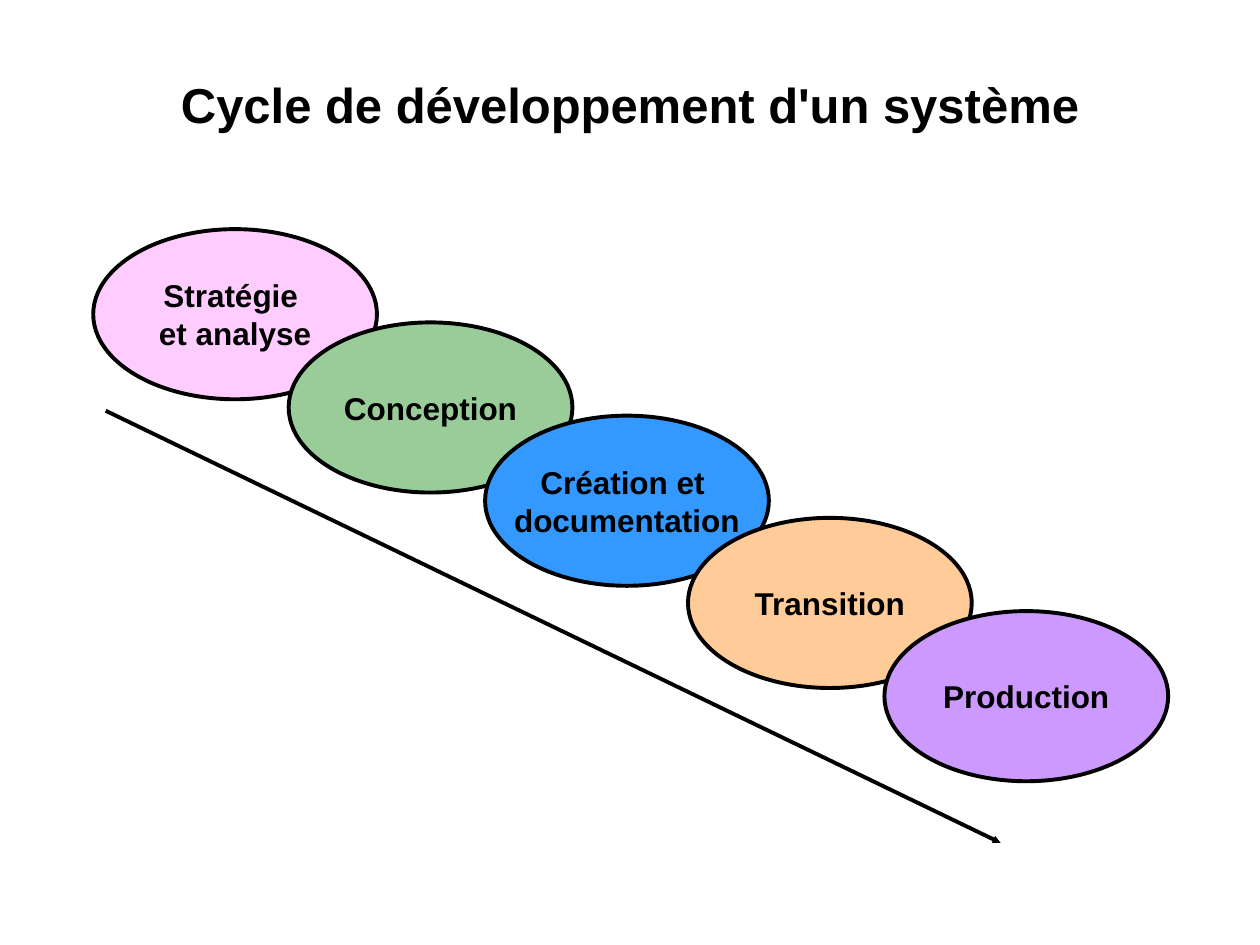
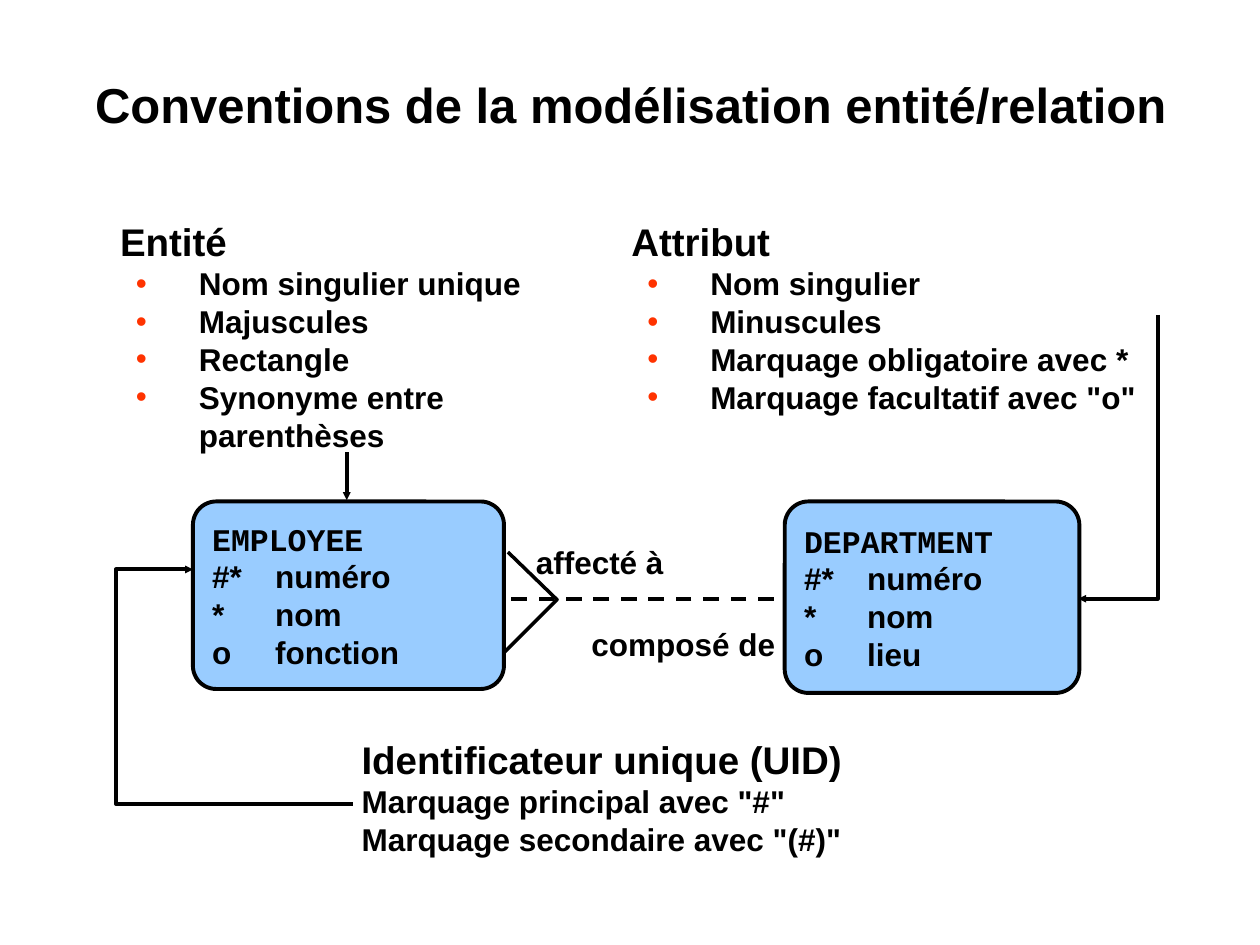
from dataclasses import dataclass

from lxml import etree
from pptx import Presentation
from pptx.dml.color import RGBColor
from pptx.enum.dml import MSO_LINE
from pptx.enum.shapes import MSO_CONNECTOR, MSO_SHAPE
from pptx.enum.text import MSO_ANCHOR, MSO_AUTO_SIZE, PP_ALIGN
from pptx.oxml.ns import qn
from pptx.util import Cm, Pt

LEFT, CENTER = PP_ALIGN.LEFT, PP_ALIGN.CENTER
TOP, MIDDLE = MSO_ANCHOR.TOP, MSO_ANCHOR.MIDDLE
NO_AUTOFIT = MSO_AUTO_SIZE.NONE
STRAIGHT = MSO_CONNECTOR.STRAIGHT
OVAL, ROUNDED = MSO_SHAPE.OVAL, MSO_SHAPE.ROUNDED_RECTANGLE
DASH = MSO_LINE.DASH

COLORS = {
    "ink": "000000",
    "bullet": "FF3300",
    "strategy": "FFCCFF",
    "design": "99CC99",
    "build": "3399FF",
    "transition": "FFCC99",
    "production": "CC99FF",
    "entity": "99CCFF",
}
SANS, MONO = "Arial", "Courier New"
TITLE_SIZE, HEADING_SIZE, TEXT_SIZE = 28, 22, 18
LINE_WIDTH = 2.25
TIGHT, ROOMY = (0.03, 0.03), (0.25, 0.13)

PHASES = [
    ("Stratégie \vet analyse", "strategy", 0, 0),
    ("Conception", "design", 3.94, 1.88),
    ("Création et \vdocumentation", "build", 7.9, 3.76),
    ("Transition", "transition", 11.99, 5.82),
    ("Production", "production", 15.95, 7.7),
]
ENTITY_RULES = ["Entité", "Nom singulier unique", "Majuscules", "Rectangle",
                "Synonyme entre parenthèses"]
ATTRIBUTE_RULES = ["Attribut", "Nom singulier", "Minuscules",
                   "Marquage obligatoire avec *", 'Marquage facultatif avec "o"']
IDENTIFIER_RULES = ["Identificateur unique (UID)", 'Marquage principal avec "#"',
                    'Marquage secondaire avec "(#)"']


@dataclass
class Box:
    left: float
    top: float
    width: float
    height: float

    def inner(self, left, top, width, height):
        return Box(self.left + left, self.top + top, width, height)

    def point(self, x, y):
        return Cm(self.left + x), Cm(self.top + y)

    def bounds(self):
        return [Cm(side) for side in (self.left, self.top, self.width, self.height)]


def color(name):
    return RGBColor.from_string(COLORS[name])


def set_bullet(para):
    properties = para._p.get_or_add_pPr()
    properties.set("marL", str(Cm(1.59)))
    properties.set("indent", str(-Cm(1.27)))
    bullet_color = etree.SubElement(properties, qn("a:buClr"))
    etree.SubElement(bullet_color, qn("a:srgbClr"), val=COLORS["bullet"])
    etree.SubElement(properties, qn("a:buFont"), typeface=SANS)
    etree.SubElement(properties, qn("a:buChar"), char="•")


def clear_bullet(para):
    properties = para._p.get_or_add_pPr()
    properties.set("marL", "0")
    properties.set("indent", "0")
    etree.SubElement(properties, qn("a:buNone"))


def write(shape, lines, size=TEXT_SIZE, first_size=None, first_font=SANS,
          align=LEFT, anchor=TOP, margins=ROOMY, wrap=True, bulleted=False):
    frame = shape.text_frame
    frame.word_wrap = wrap
    frame.auto_size = NO_AUTOFIT
    frame.vertical_anchor = anchor
    frame.margin_left = frame.margin_right = Cm(margins[0])
    frame.margin_top = frame.margin_bottom = Cm(margins[1])
    for index, line in enumerate(lines):
        para = frame.add_paragraph() if index else frame.paragraphs[0]
        para.text = line
        para.alignment = align
        para.space_before = Pt(0)
        if bulleted and index:
            para.level = 1
            set_bullet(para)
        else:
            clear_bullet(para)
        for span in para.runs:
            span.font.size = Pt(size if index else first_size or size)
            span.font.name = SANS if index else first_font
            span.font.bold = True
            span.font.color.rgb = color("ink")


def place(shape, box):
    shape.left, shape.top, shape.width, shape.height = box.bounds()


def add_title(page, box, text):
    place(page.shapes.title, box)
    write(page.shapes.title, [text], TITLE_SIZE, align=CENTER, margins=TIGHT)


def add_text(page, box, lines, **style):
    write(page.shapes.add_textbox(*box.bounds()), lines, **style)


def add_figure(page, kind, box, fill):
    shape = page.shapes.add_shape(kind, *box.bounds())
    shape.shadow.inherit = False
    shape.fill.solid()
    shape.fill.fore_color.rgb = color(fill)
    style_line(shape)
    return shape


def style_line(shape, width=LINE_WIDTH, arrow=False):
    shape.line.color.rgb = color("ink")
    shape.line.width = Pt(width)
    if arrow:
        etree.SubElement(shape.line._get_or_add_ln(), qn("a:tailEnd"),
                         type="triangle", w="sm", len="sm")


def add_straight(page, start, end, arrow=False, dashed=False):
    line = page.shapes.add_connector(STRAIGHT, *start, *end)
    if dashed:
        line.line.dash_style = DASH
    style_line(line, arrow=arrow)
    etree.SubElement(line._element.spPr, qn("a:effectLst"))


def add_bent(page, points, width=LINE_WIDTH, arrow=False):
    builder = page.shapes.build_freeform(*points[0], scale=1.0)
    builder.add_line_segments(points[1:], close=False)
    shape = builder.convert_to_shape()
    shape.shadow.inherit = False
    shape.fill.background()
    style_line(shape, width, arrow)


def draw_cycle(page, box):
    for label, fill, left, top in PHASES:
        phase = add_figure(page, OVAL, box.inner(left, top, 5.72, 3.43), fill)
        write(phase, [label], align=CENTER, anchor=MIDDLE, wrap=False)
    add_straight(page, box.point(0.25, 3.66), box.point(18.29, 12.37), arrow=True)


def draw_entity(page, box, name, last_attribute):
    entity = add_figure(page, ROUNDED, box, "entity")
    entity.adjustments[0] = 0.124
    lines = [name, "#* \tnuméro", "*\tnom", f"o\t{last_attribute}"]
    write(entity, lines, first_font=MONO, anchor=MIDDLE)


def draw_relation(page, box):
    add_straight(page, box.point(13.81, 5.72), box.point(7.08, 5.72), dashed=True)
    crow_foot = [(7.9, 4.78), (8.89, 5.74), (7.62, 7.01)]
    add_bent(page, [box.point(*spot) for spot in crow_foot], width=2)
    draw_entity(page, box.inner(1.55, 3.76, 6.27, 3.78), "EMPLOYEE", "fonction")
    draw_entity(page, box.inner(13.48, 3.76, 5.94, 3.86), "DEPARTMENT", "lieu")
    add_text(page, box.inner(8.2, 4.47, 3.1, 1.02), ["affecté à"],
             align=CENTER, wrap=False)
    add_text(page, box.inner(8.07, 6.12, 6.73, 1.02), ["composé de"], align=CENTER)


def draw_pointers(page, box):
    add_straight(page, box.point(4.65, 2.77), box.point(4.65, 3.73), arrow=True)
    attribute_route = [(21, 0), (21, 5.72), (19.4, 5.72)]
    identifier_route = [(4.77, 9.86), (0, 9.86), (0, 5.13), (1.55, 5.13)]
    for route in (attribute_route, identifier_route):
        add_bent(page, [box.point(*spot) for spot in route], arrow=True)


def build_cycle_page(deck):
    page = deck.slides.add_slide(deck.slide_layouts[5])
    add_title(page, Box(2.54, 1.47, 20.32, 2.44), "Cycle de développement d'un système")
    draw_cycle(page, Box(1.88, 4.62, 21.67, 12.37))


def build_conventions_page(deck):
    page = deck.slides.add_slide(deck.slide_layouts[1])
    add_title(page, Box(1.35, 1.47, 22.73, 2.44),
              "Conventions de la modélisation entité/relation")
    rule_style = {"first_size": HEADING_SIZE, "margins": TIGHT, "bulleted": True}
    body = page.placeholders[1]
    place(body, Box(2.39, 4.37, 10.31, 4.83))
    write(body, ENTITY_RULES, **rule_style)
    diagram = Box(2.34, 6.35, 21, 11.08)
    draw_relation(page, diagram)
    draw_pointers(page, diagram)
    add_text(page, Box(12.7, 4.37, 10.64, 4.04), ATTRIBUTE_RULES, **rule_style)
    add_text(page, diagram.inner(4.7, 8.36, 10.41, 2.72), IDENTIFIER_RULES,
             first_size=HEADING_SIZE, wrap=False)


def main():
    deck = Presentation()
    deck.slide_width, deck.slide_height = Cm(25.4), Cm(19.05)
    build_cycle_page(deck)
    build_conventions_page(deck)
    deck.save("out.pptx")


if __name__ == "__main__":
    main()
